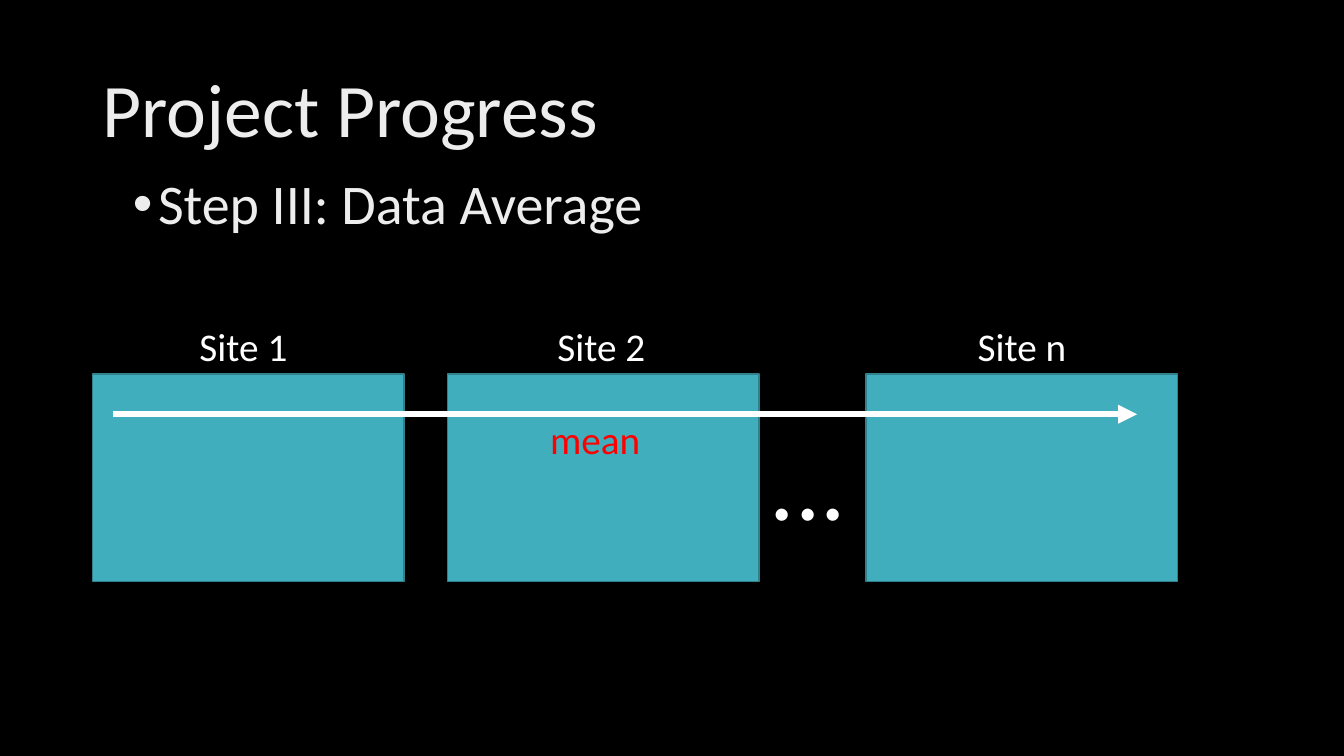
from dataclasses import dataclass

import pptx
import pptx.dml.color
import pptx.enum.shapes
import pptx.enum.text
import pptx.oxml
import pptx.oxml.ns
import pptx.shapes.autoshape
import pptx.slide
import pptx.util

Pt = pptx.util.Pt
RGBColor = pptx.dml.color.RGBColor
Anchor = pptx.enum.text.MSO_ANCHOR

BLACK = RGBColor(0x00, 0x00, 0x00)
WHITE = RGBColor(0xFF, 0xFF, 0xFF)
LIGHT_GRAY = RGBColor(0xED, 0xED, 0xED)
RED = RGBColor(0xFF, 0x00, 0x00)
TEAL = RGBColor(0x41, 0xAE, 0xBD)
DARK_TEAL = RGBColor(0x30, 0x81, 0x8C)

FONT = "Calibri"
SITE_TOP, SITE_WIDTH, SITE_HEIGHT = 267.1, 222.5, 148.3
LABEL_TOP, LABEL_WIDTH, LABEL_HEIGHT = 226.8, 171.4, 41.2
ARROW_LEFT, ARROW_RIGHT, ARROW_TOP = 80.6, 812.2, 295.9
BULLET_INDENT = 18


@dataclass(frozen=True)
class Label:
    text: str
    left: float
    top: float
    width: float
    height: float
    size: float
    color: RGBColor = WHITE
    anchor: Anchor = Anchor.TOP
    line_spacing: float = 1.0
    space_before: float = 0
    bulleted: bool = False


@dataclass(frozen=True)
class Site:
    name: str
    left: float
    label_left: float


HEADINGS = [
    Label("Project Progress", 66.2, 28.8, 828, 104.4, 54, LIGHT_GRAY,
          anchor=Anchor.MIDDLE, line_spacing=0.9),
    Label("Step III: Data Average", 87.8, 122.4, 805.7, 342.7, 40, LIGHT_GRAY,
          line_spacing=0.9, space_before=10, bulleted=True),
]
SITES = [
    Site("Site 1", 66.2, 135.4),
    Site("Site 2", 319.7, 391),
    Site("Site n", 618.5, 691.2),
]
ELLIPSIS = Label("...", 542.9, 295.9, 130.3, 94.3, 72)
MEAN = Label("mean", 385.9, 293, 110.9, 41.2, 28, RED)


def add_bullet(paragraph: pptx.text.text._Paragraph) -> None:
    properties = paragraph._p.get_or_add_pPr()
    properties.set("marL", str(Pt(BULLET_INDENT)))
    properties.set("indent", str(Pt(-BULLET_INDENT)))
    namespace = pptx.oxml.ns.nsdecls("a")
    properties.append(pptx.oxml.parse_xml(f'<a:buFont {namespace} typeface="Arial"/>'))
    properties.append(pptx.oxml.parse_xml(f'<a:buChar {namespace} char="•"/>'))


def add_label(slide: pptx.slide.Slide, label: Label) -> None:
    shape = slide.shapes.add_textbox(
        Pt(label.left), Pt(label.top), Pt(label.width), Pt(label.height))
    text_frame = shape.text_frame
    text_frame.word_wrap = True
    text_frame.vertical_anchor = label.anchor
    text_frame.text = label.text
    paragraph = text_frame.paragraphs[0]
    paragraph.line_spacing = label.line_spacing
    paragraph.space_before = Pt(label.space_before)
    if label.bulleted:
        add_bullet(paragraph)
    font = paragraph.runs[0].font
    font.name = FONT
    font.size = Pt(label.size)
    font.color.rgb = label.color


def add_site(slide: pptx.slide.Slide, site: Site) -> None:
    shape = slide.shapes.add_shape(
        pptx.enum.shapes.MSO_SHAPE.RECTANGLE,
        Pt(site.left), Pt(SITE_TOP), Pt(SITE_WIDTH), Pt(SITE_HEIGHT))
    shape.shadow.inherit = False
    shape.fill.solid()
    shape.fill.fore_color.rgb = TEAL
    shape.line.color.rgb = DARK_TEAL
    shape.line.width = Pt(1)
    add_label(slide, Label(site.name, site.label_left, LABEL_TOP,
                           LABEL_WIDTH, LABEL_HEIGHT, 28))


def add_mean_arrow(slide: pptx.slide.Slide) -> None:
    arrow = slide.shapes.add_connector(
        pptx.enum.shapes.MSO_CONNECTOR.STRAIGHT,
        Pt(ARROW_LEFT), Pt(ARROW_TOP), Pt(ARROW_RIGHT), Pt(ARROW_TOP))
    arrow.line.color.rgb = WHITE
    arrow.line.width = Pt(4.5)
    namespace = pptx.oxml.ns.nsdecls("a")
    arrow.line._get_or_add_ln().append(
        pptx.oxml.parse_xml(f'<a:tailEnd {namespace} type="triangle"/>'))
    arrow._element.spPr.append(pptx.oxml.parse_xml(f"<a:effectLst {namespace}/>"))


def main() -> None:
    presentation = pptx.Presentation()
    presentation.slide_width = Pt(960)
    presentation.slide_height = Pt(540)
    slide = presentation.slides.add_slide(presentation.slide_layouts[6])
    slide.background.fill.solid()
    slide.background.fill.fore_color.rgb = BLACK

    for heading in HEADINGS:
        add_label(slide, heading)
    for site in SITES:
        add_site(slide, site)
    add_label(slide, ELLIPSIS)
    add_mean_arrow(slide)
    add_label(slide, MEAN)
    presentation.save("out.pptx")


if __name__ == "__main__":
    main()
